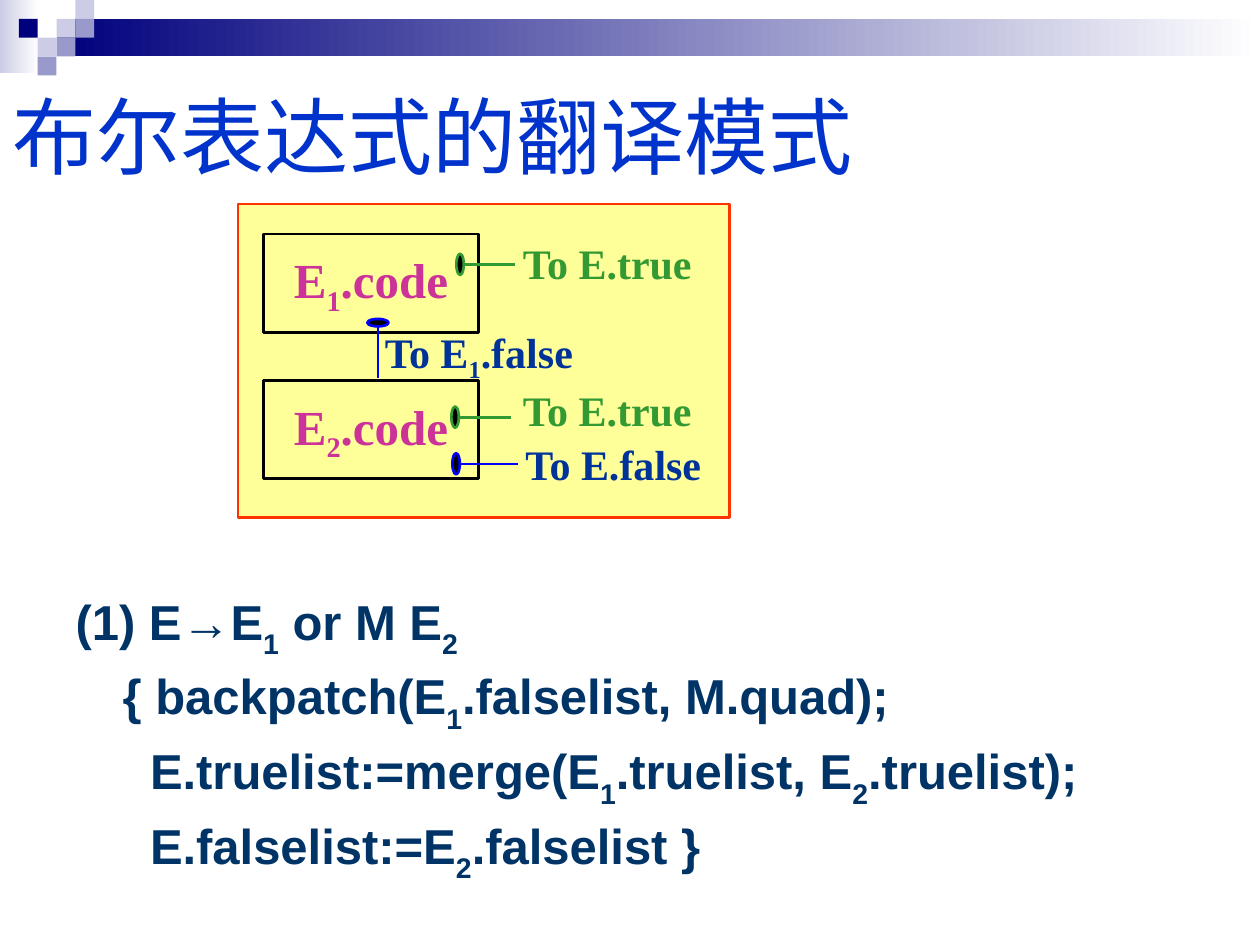
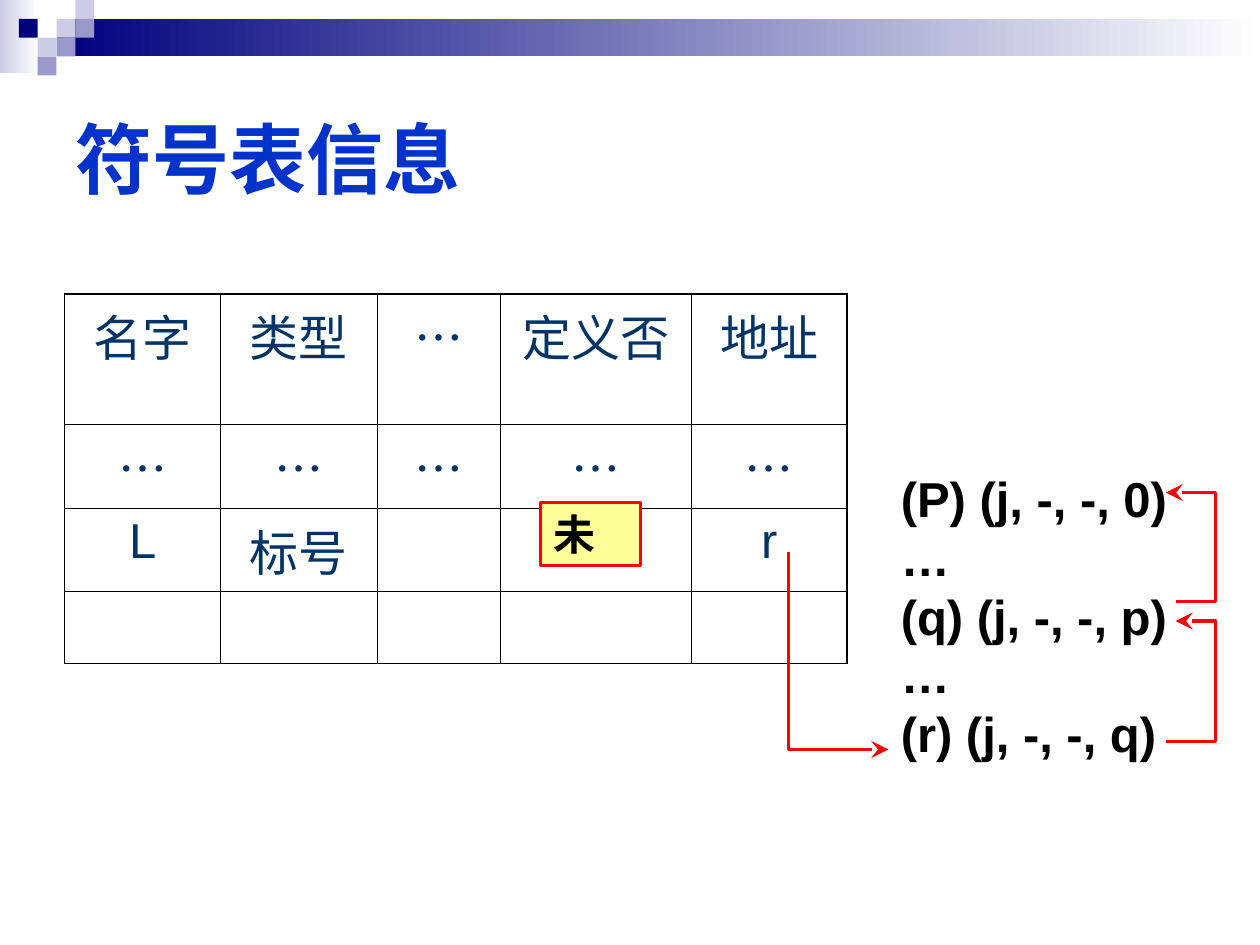
from dataclasses import dataclass

from lxml.etree import SubElement as Sub
from pptx import Presentation
from pptx.dml.color import RGBColor
from pptx.enum.shapes import MSO_CONNECTOR as Conn, MSO_SHAPE as Kind
from pptx.enum.text import MSO_ANCHOR as Anchor, MSO_AUTO_SIZE as Fit, PP_ALIGN as Align
from pptx.oxml.ns import qn
from pptx.util import Cm, Pt

COLORS = {
    "navy": "00007D", "mid": "9999CC", "light": "CCCCE6", "white": "FFFFFF",
    "title": "0033CC", "body": "003366", "label": "003399", "code": "CC3399",
    "green": "339933", "blue": "0000FF", "black": "000000",
    "yellow": "FFFF99", "orange": "FF3300", "red": "FF0000",
}
HAN = "Noto Sans CJK SC"


@dataclass(frozen=True)
class Box:
    x: float
    y: float
    w: float
    h: float

    def size(self) -> tuple:
        return Cm(self.x), Cm(self.y), Cm(self.w), Cm(self.h)


@dataclass(frozen=True)
class Look:
    size: float
    color: str
    bold: bool = True
    name: str = "Arial"
    han: str = ""
    align: Align = Align.LEFT
    drop: int = -30


@dataclass(frozen=True)
class Jump:
    """A wire that leaves a code box, with its label."""
    text: str
    wire: str
    ink: str
    start: tuple
    end: tuple
    label: tuple


def rgb(name: str) -> RGBColor:
    return RGBColor.from_string(COLORS[name])


def put(item, **values) -> None:
    for key, value in values.items():
        setattr(item, key, value)


# Text: parts between ~ marks are subscripts
def write(para, text: str, look: Look) -> None:
    para.alignment = look.align
    for i, part in enumerate(text.split("~")):
        if not part:
            continue
        run = para.add_run()
        run.text = part
        put(run.font, size=Pt(look.size), bold=look.bold, name=look.name)
        run.font.color.rgb = rgb(look.color)
        props = run.font._element
        if i % 2:
            props.set("baseline", str(look.drop * 1000))
        if look.han:
            Sub(props, qn("a:ea")).set("typeface", look.han)


def fill_text(frame, lines: list, look: Look, **values) -> None:
    put(frame, **{"auto_size": Fit.NONE, "word_wrap": True, **values})
    for i, line in enumerate(lines):
        para = frame.add_paragraph() if i else frame.paragraphs[0]
        write(para, line, look)


# Shapes
def paint(shape, fill: str = "", line: str = "", width: float = 1.5):
    shape.shadow.inherit = False
    if fill:
        shape.fill.solid()
        shape.fill.fore_color.rgb = rgb(fill)
    else:
        shape.fill.background()
    if line:
        shape.line.color.rgb = rgb(line)
        shape.line.width = Pt(width)
    else:
        shape.line.fill.background()
    return shape


def block(slide, box: Box, fill: str = "", line: str = "", kind: Kind = Kind.RECTANGLE):
    return paint(slide.shapes.add_shape(kind, *box.size()), fill, line)


def fade(slide, box: Box, color: str) -> None:
    band = block(slide, box, color)
    band.fill.gradient()
    band.fill.gradient_angle = 0
    for stop, name in zip(band.fill.gradient_stops, (color, "white")):
        stop.color.rgb = rgb(name)
    first, last = band.fill.gradient_stops
    put(first, position=0)
    put(last, position=1)


def wire(slide, start: tuple, end: tuple, color: str) -> None:
    link = slide.shapes.add_connector(Conn.STRAIGHT, *map(Cm, start + end))
    link.line.color.rgb = rgb(color)
    link.line.width = Pt(1.5)
    Sub(link._element.spPr, qn("a:effectLst"))


def arrow(slide, points: list) -> None:
    first, *rest = [(Cm(x), Cm(y)) for x, y in points]
    pen = slide.shapes.build_freeform(*first)
    pen.add_line_segments(rest, close=False)
    path = paint(pen.convert_to_shape(), line="red", width=1.75)
    tip = Sub(path._element.spPr.find(qn("a:ln")), qn("a:tailEnd"))
    for key, value in {"type": "stealth", "w": "lg", "len": "lg"}.items():
        tip.set(key, value)


# Shared parts
def deck_band(deck, slide) -> None:
    """Draw the top band, then move it to the master."""
    fade(slide, Box(0, 0, 0.79, 1.47), "light")
    fade(slide, Box(1.14, 0.38, 24.26, 0.76), "navy")
    side = 0.38
    tiles = [(3, 1, "light"), (4, 0, "light"), (4, 1, "mid"), (2, 2, "light"),
             (1, 1, "navy"), (3, 2, "mid"), (2, 3, "mid")]
    for col, row, color in tiles:
        block(slide, Box(col * side, row * side, side, side), color)
    tree = deck.slide_master.element.cSld.spTree
    parts = [s._element for s in slide.shapes if not s.is_placeholder]
    for i, part in enumerate(parts):
        tree.insert(2 + i, part)


def place(holder, box: Box):
    put(holder, **dict(zip(("left", "top", "width", "height"), box.size())))
    return holder.text_frame


def head(slide, text: str, box: Box, size: float, bold: bool) -> None:
    look = Look(size, "title", bold, han=HAN)
    fill_text(place(slide.shapes.title, box), [text], look,
              vertical_anchor=Anchor.MIDDLE)


# Slide 1: code layout and its translation rule
JUMPS = [
    Jump("To E.true", "green", "green", (9.35, 5.33), (10.39, 5.33), (10.9, 4.52)),
    Jump("To E~1~.false", "blue", "label", (7.62, 6.58), (7.62, 7.62), (8.31, 6.38)),
    Jump("To E.true", "green", "green", (9.25, 8.41), (10.31, 8.41), (10.9, 7.49)),
    Jump("To E.false", "blue", "label", (9.27, 9.35), (10.44, 9.35), (11.02, 8.58)),
]
RULE = [
    ("(1) E→E~1~ or M E~2~", 0),
    ("{ backpatch(E~1~.falselist, M.quad);", 0.95),
    ("E.truelist:=merge(E~1~.truelist, E~2~.truelist);", 1.5),
    ("E.falselist:=E~2~.falselist }", 1.5),
]


def draw_jump(slide, jump: Jump) -> None:
    thin, long = 0.15, 0.43
    x, y = jump.start
    wire(slide, jump.start, jump.end, jump.wire)
    if x == jump.end[0]:
        dot = Box(x - long / 2, y - thin, long, thin)
    else:
        dot = Box(x - thin, y - long / 2, thin, long)
    block(slide, dot, "black", jump.wire, Kind.OVAL)
    label = slide.shapes.add_textbox(*Box(*jump.label, 2.69, 1.55).size())
    look = Look(24, jump.ink, name="Times New Roman", align=Align.CENTER, drop=-25)
    fill_text(label.text_frame, [jump.text], look, word_wrap=False,
              vertical_anchor=Anchor.MIDDLE)


def rule_slide(slide) -> None:
    head(slide, "布尔表达式的翻译模式", Box(0, 1.32, 19.91, 2.79), 48, False)
    block(slide, Box(4.8, 4.11, 9.91, 6.32), "yellow", "orange")
    look = Look(28, "code", name="Times New Roman", align=Align.CENTER, drop=-25)
    for text, top in (("E~1~.code", 4.72), ("E~2~.code", 7.67)):
        code = block(slide, Box(5.31, top, 4.34, 1.98), line="black")
        fill_text(code.text_frame, [text], look, word_wrap=False,
                  vertical_anchor=Anchor.MIDDLE)
    for jump in JUMPS:
        draw_jump(slide, jump)

    frame = place(slide.placeholders[1], Box(1.27, 11.79, 22.86, 6.53))
    fill_text(frame, [text for text, _ in RULE], Look(28, "body"))
    for i, (para, (_, inset)) in enumerate(zip(frame.paragraphs, RULE)):
        put(para, line_spacing=0.9, space_before=Pt(7 if i else 0))
        props = para._p.get_or_add_pPr()
        props.set("marL", str(Cm(inset)))
        props.set("indent", "0")
        Sub(props, qn("a:buNone"))


# Slide 2: symbol table and its jump chain
ROWS = [
    ["名字", "类型", "…", "定义否", "地址"],
    ["…"] * 5,
    ["L", "标号", "", "", "r"],
    [""] * 5,
]
WIDTHS = [3.15, 3.15, 2.49, 3.84, 3.15]
HEIGHTS = [2.64, 1.45, 1.45, 1.45]
CHAIN = ["(P) (j, -, -, 0)", "…", "(q) (j, -, -, p)", "…", "(r) (j, -, -, q)"]
ARROWS = [
    [(15.9, 11.13), (15.9, 15.11), (17.91, 15.11)],
    [(23.5, 14.94), (24.51, 14.94), (24.51, 12.52), (23.7, 12.52)],
    [(23.7, 12.12), (24.51, 12.12), (24.51, 9.93), (23.5, 9.93)],
]


def edge(cell, outer: dict) -> None:
    props = cell._tc.get_or_add_tcPr()
    for side, thick in outer.items():
        line = Sub(props, qn(f"a:ln{side}"))
        line.set("w", str(Pt(1.08 if thick else 0.45)))
        Sub(Sub(line, qn("a:solidFill")), qn("a:srgbClr")).set("val", COLORS["black"])
    cell.fill.background()


def draw_table(slide) -> None:
    rows, cols = len(ROWS), len(WIDTHS)
    box = Box(1.3, 5.92, sum(WIDTHS), sum(HEIGHTS))
    table = slide.shapes.add_table(rows, cols, *box.size()).table
    put(table, first_row=False, horz_banding=False)
    for col, width in zip(table.columns, WIDTHS):
        col.width = Cm(width)
    for r, texts in enumerate(ROWS):
        table.rows[r].height = Cm(HEIGHTS[r])
        for c, text in enumerate(texts):
            cell = table.cell(r, c)
            name = HAN if text == "…" else "Arial"
            look = Look(28, "body", False, name, HAN, Align.CENTER)
            write(cell.text_frame.paragraphs[0], text, look)
            edge(cell, {"L": c == 0, "R": c == cols - 1,
                        "T": r == 0, "B": r == rows - 1})


def table_slide(slide) -> None:
    head(slide, "符号表信息", Box(1.27, 1.27, 22.86, 3.81), 44, True)
    draw_table(slide)
    chain = slide.shapes.add_textbox(*Box(17.91, 9.32, 7.49, 7.37).size())
    fill_text(chain.text_frame, CHAIN, Look(28, "black"))
    for points in ARROWS:
        arrow(slide, points)
    flag = block(slide, Box(10.9, 10.13, 2.01, 1.27), "yellow", "red")
    fill_text(flag.text_frame, ["未"], Look(24, "black", han=HAN),
              vertical_anchor=Anchor.TOP)


def main() -> None:
    deck = Presentation()
    put(deck, slide_width=Cm(25.4), slide_height=Cm(19.05))
    rule = deck.slides.add_slide(deck.slide_layouts[1])
    deck_band(deck, rule)
    rule_slide(rule)
    table_slide(deck.slides.add_slide(deck.slide_layouts[5]))
    deck.save("out.pptx")


if __name__ == "__main__":
    main()
